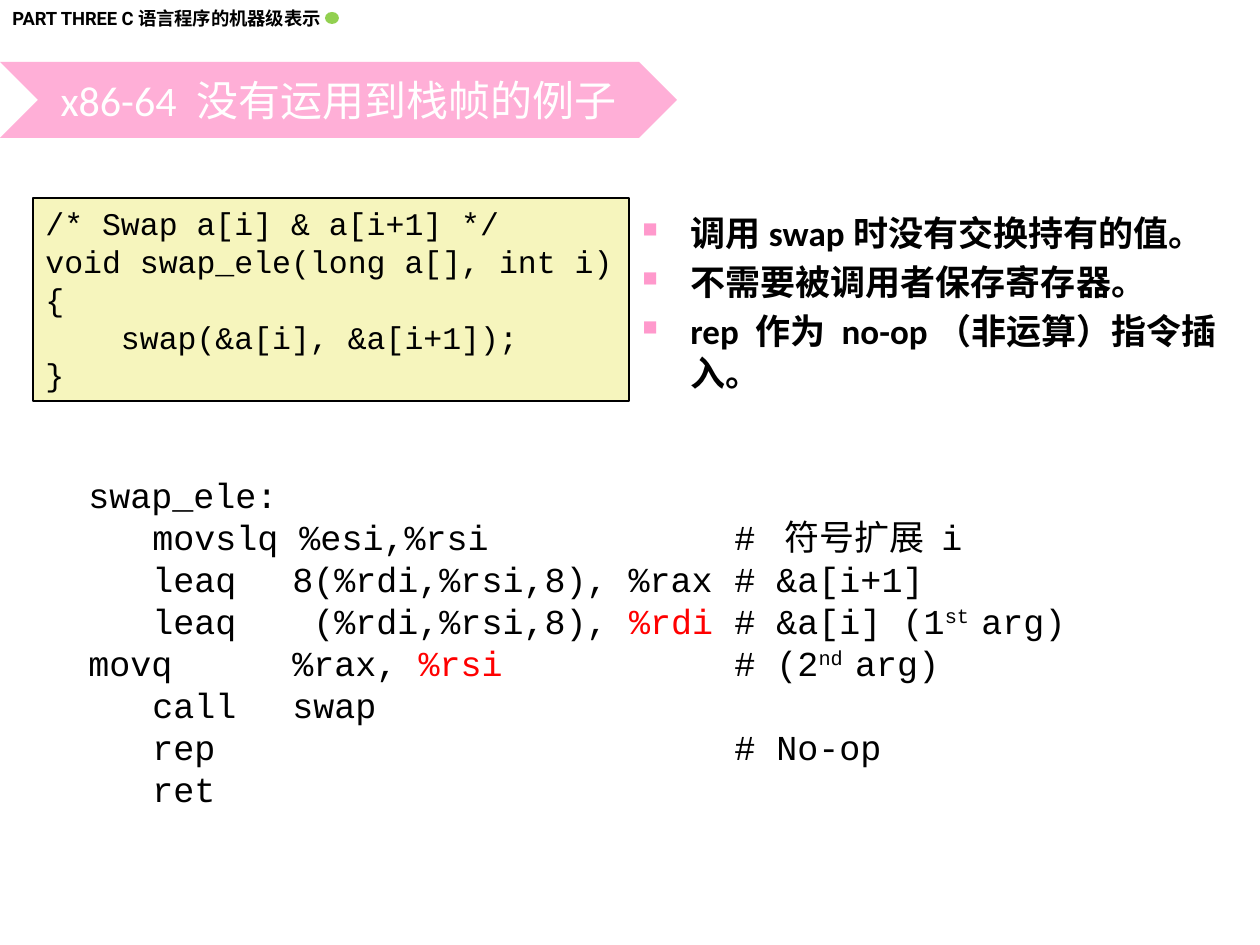
from dataclasses import dataclass
from typing import NamedTuple

from lxml import etree
from pptx import Presentation
from pptx import util as u
from pptx.dml.color import RGBColor
from pptx.enum import shapes, text
from pptx.oxml.ns import qn


@dataclass(frozen=True)
class Theme:
    ink: str = "000000"
    red: str = "FF0000"
    pink: str = "FF99CC"
    cream: str = "F6F5BD"
    green: str = "92D050"
    white: str = "FFFFFF"
    head: float = 10.5
    title: int = 24
    code: int = 18
    body: int = 20
    sans: str = "Calibri"
    mono: str = "Courier New"
    brand: str = "Roboto"


class Box(NamedTuple):
    x: int
    y: int
    w: int
    h: int


class Bit(NamedTuple):
    text: str
    color: str = "000000"
    sup: bool = False


class Style(NamedTuple):
    font: str
    size: float
    bold: bool = False
    tabs: tuple[int, ...] = ()
    mark: bool = False


T = Theme()
SCALE = 914400 / 126


def px(n: int) -> u.Emu:
    return u.Emu(round(n * SCALE))


def place(box: Box) -> list[u.Emu]:
    return [px(n) for n in box]


def add_tabs(para, stops: tuple[int, ...]) -> None:
    tabs = etree.SubElement(para._p.get_or_add_pPr(), qn("a:tabLst"))
    for stop in stops:
        etree.SubElement(tabs, qn("a:tab"), pos=str(px(stop)), algn="l")


def add_mark(para) -> None:
    props = para._p.get_or_add_pPr()
    props.set("marL", str(px(48)))
    props.set("indent", str(-px(48)))
    color = etree.SubElement(props, qn("a:buClr"))
    etree.SubElement(color, qn("a:srgbClr"), val=T.pink)
    etree.SubElement(props, qn("a:buSzPct"), val="60000")
    etree.SubElement(props, qn("a:buChar"), char="■")


def write(frame, lines: list[list[Bit]], style: Style) -> None:
    for i, line in enumerate(lines):
        para = frame.add_paragraph() if i else frame.paragraphs[0]
        if style.mark and i:
            para.space_before = u.Pt(4)
        if style.tabs:
            add_tabs(para, style.tabs)
        if style.mark:
            add_mark(para)
        for bit in line:
            run = para.add_run()
            run.text = bit.text
            run.font.name = style.font
            run.font.size = u.Pt(style.size)
            run.font.bold = style.bold
            run.font.color.rgb = RGBColor.from_string(bit.color)
            if bit.sup:
                run.font._element.set("baseline", "30000")


def add_text(slide, box: Box, lines: list[list[Bit]], style: Style, wrap: bool = True) -> None:
    frame = slide.shapes.add_textbox(*place(box)).text_frame
    frame.word_wrap = wrap
    write(frame, lines, style)


def add_shape(slide, kind, box: Box, fill: str, line: str = ""):
    shape = slide.shapes.add_shape(kind, *place(box))
    shape.shadow.inherit = False
    shape.fill.solid()
    shape.fill.fore_color.rgb = RGBColor.from_string(fill)
    if line:
        shape.line.color.rgb = RGBColor.from_string(line)
        shape.line.width = u.Pt(1)
    else:
        shape.line.fill.background()
    return shape


def add_title(slide, box: Box, words: str) -> None:
    arrow = add_shape(slide, shapes.MSO_SHAPE.CHEVRON, box, T.pink)
    color = arrow.fill._xPr.find(".//" + qn("a:srgbClr"))
    etree.SubElement(color, qn("a:alpha"), val="78000")
    title = slide.shapes.title
    title.left, title.top, title.width, title.height = place(box)
    frame = title.text_frame
    frame.auto_size = text.MSO_AUTO_SIZE.NONE
    frame.vertical_anchor = text.MSO_ANCHOR.MIDDLE
    write(frame, [[Bit(words, T.white)]], Style(T.sans, T.title))
    frame.paragraphs[0].alignment = text.PP_ALIGN.CENTER
    arrow.element.addnext(title.element)


def add_code(slide, box: Box, lines: list[str]) -> None:
    frame = add_shape(slide, shapes.MSO_SHAPE.RECTANGLE, box, T.cream, T.ink).text_frame
    frame.word_wrap = True
    frame.vertical_anchor = text.MSO_ANCHOR.TOP
    write(frame, [[Bit(line)] for line in lines], Style(T.mono, T.code))
    for para in frame.paragraphs:
        para.alignment = text.PP_ALIGN.LEFT


SWAP = [
    "/* Swap a[i] & a[i+1] */",
    "void swap_ele(long a[], int i)",
    "{",
    "    swap(&a[i], &a[i+1]);",
    "}",
]

NOTES = [
    "调用swap时没有交换持有的值。",
    "不需要被调用者保存寄存器。",
    "rep 作为 no-op（非运算）指令插入。",
]

ASM = [
    [Bit("swap_ele:")],
    [Bit("\tmovslq %esi,%rsi\t# 符号扩展 i")],
    [Bit("\tleaq\t8(%rdi,%rsi,8), %rax\t# &a[i+1]")],
    [Bit("\tleaq\t (%rdi,%rsi,8), "), Bit("%rdi", T.red), Bit("\t# &a[i] (1"),
     Bit("st ", sup=True), Bit("arg)")],
    [Bit("movq\t%rax, "), Bit("%rsi", T.red), Bit("\t# (2"),
     Bit("nd ", sup=True), Bit("arg)")],
    [Bit("\tcall\tswap")],
    [Bit("\trep\t\t# No-op")],
    [Bit("\tret")],
]


def main() -> None:
    deck = Presentation()
    deck.slide_width, deck.slide_height = px(1260), px(945)
    slide = deck.slides.add_slide(deck.slide_layouts[5])
    add_text(slide, Box(0, 1, 339, 35), [[Bit("PART THREE C语言程序的机器级表示")]],
             Style(T.brand, T.head, bold=True), wrap=False)
    add_shape(slide, shapes.MSO_SHAPE.OVAL, Box(325, 12, 14, 12), T.green)
    add_code(slide, Box(33, 198, 596, 203), SWAP)
    add_text(slide, Box(630, 205, 614, 185), [[Bit(note)] for note in NOTES],
             Style(T.sans, T.body, bold=True, mark=True))
    add_text(slide, Box(76, 467, 1109, 352), ASM,
             Style(T.mono, T.body, tabs=(64, 204, 646)))
    add_title(slide, Box(0, 62, 677, 76), "x86-64 没有运用到栈帧的例子")
    deck.save("out.pptx")


if __name__ == "__main__":
    main()
